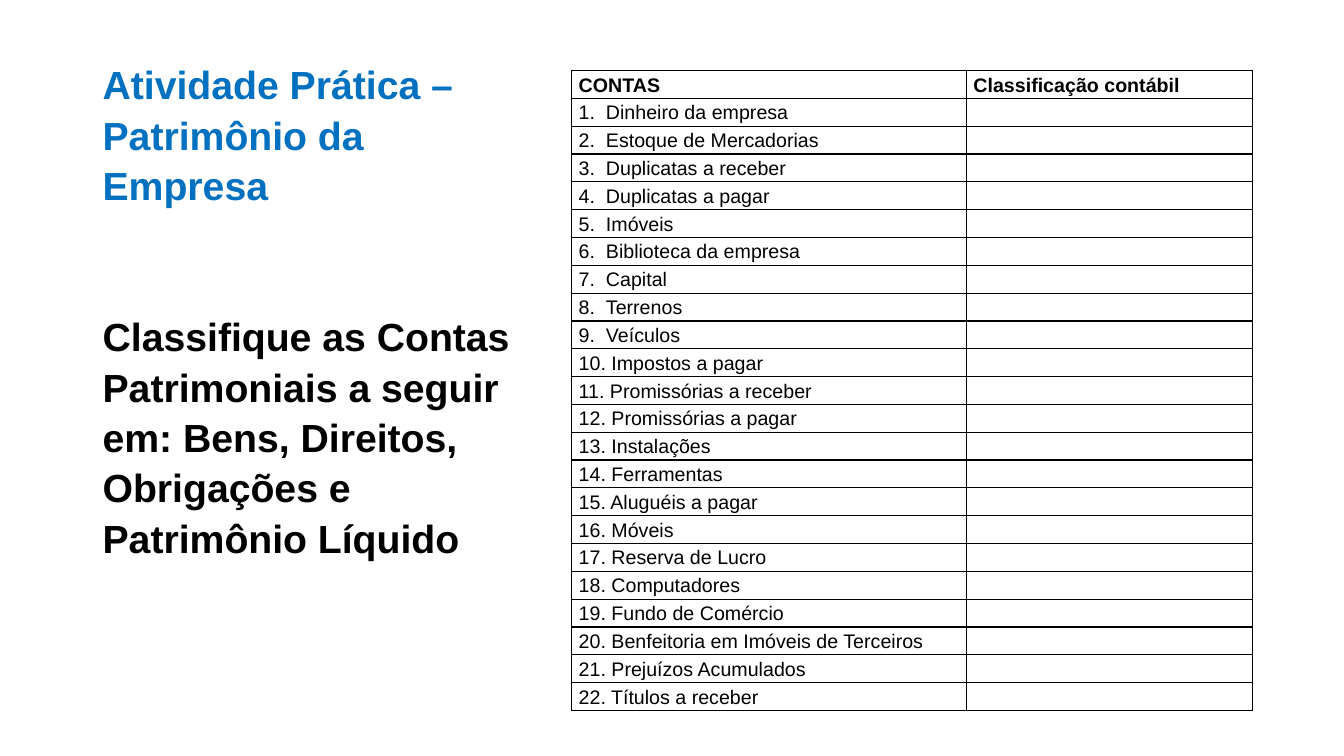
from pptx import Presentation
from pptx.dml.color import RGBColor
from pptx.enum.text import MSO_ANCHOR
from pptx.oxml.ns import qn
from pptx.util import Inches, Pt
from lxml.etree import SubElement

BLUE, BLACK, WHITE = "0070C0", "000000", "FFFFFF"
HEADS = ["CONTAS", "Classificação contábil"]
ITEMS = [
    "Dinheiro da empresa", "Estoque de Mercadorias", "Duplicatas a receber",
    "Duplicatas a pagar", "Imóveis", "Biblioteca da empresa", "Capital",
    "Terrenos", "Veículos", "Impostos a pagar", "Promissórias a receber",
    "Promissórias a pagar", "Instalações", "Ferramentas", "Aluguéis a pagar",
    "Móveis", "Reserva de Lucro", "Computadores", "Fundo de Comércio",
    "Benfeitoria em Imóveis de Terceiros", "Prejuízos Acumulados",
    "Títulos a receber",
]
PROMPTS = [
    ("Atividade Prática – Patrimônio da Empresa", BLUE, 72),
    ("Classifique as Contas Patrimoniais a seguir em: Bens, Direitos, "
     "Obrigações e Patrimônio Líquido", BLACK, 0),
]
CELL = {
    "margin_left": Inches(0.07), "margin_right": Inches(0.07),
    "margin_top": 0, "margin_bottom": 0,
    "vertical_anchor": MSO_ANCHOR.MIDDLE,
}


def color(code):
    return RGBColor.from_string(code)


def apply(target, values):
    for name, value in values.items():
        setattr(target, name, value)


def write(para, text, size, bold, shade):
    para.line_spacing = 1.07
    run = para.add_run()
    run.text = text
    apply(run.font, {"name": "Arial", "size": Pt(size), "bold": bold})
    run.font.color.rgb = color(shade)


def add_tab(para, pos):
    tabs = SubElement(para._p.get_or_add_pPr(), qn("a:tabLst"))
    SubElement(tabs, qn("a:tab"), pos=str(Inches(pos)), algn="l")


def set_empty(para, size):
    SubElement(para._p, qn("a:endParaRPr"), sz=str(size * 100))


def add_frame(cell):
    props = cell._tc.get_or_add_tcPr()
    for index, side in enumerate(("lnL", "lnR", "lnT", "lnB")):
        line = SubElement(props, qn(f"a:{side}"), w=str(Pt(1)))
        props.remove(line)
        props.insert(index, line)
        fill = SubElement(line, qn("a:solidFill"))
        SubElement(fill, qn("a:srgbClr"), val=BLACK)


def add_prompts(slide, left, top, width, height):
    box = slide.shapes.add_textbox(
        Inches(left), Inches(top), Inches(width), Inches(height))
    frame = box.text_frame
    apply(frame, {"word_wrap": True, "vertical_anchor": MSO_ANCHOR.TOP})
    for index, (text, shade, gap) in enumerate(PROMPTS):
        para = frame.add_paragraph() if index else frame.paragraphs[0]
        para.space_after = Pt(gap)
        write(para, text, 28, True, shade)


def add_accounts(slide, left, top, width, height):
    rows = [HEADS]
    for num, item in enumerate(ITEMS, 1):
        gap = "\t" if num < 10 else " "
        rows.append([f"{num}.{gap}{item}", ""])
    table = slide.shapes.add_table(
        len(rows), len(HEADS), Inches(left), Inches(top),
        Inches(width), Inches(height)).table
    apply(table, {"first_row": False, "horz_banding": False})
    for col, share in zip(table.columns, (0.58, 0.42)):
        col.width = Inches(width * share)
    for r, row in enumerate(rows):
        table.rows[r].height = Inches(height / len(rows))
        for c, text in enumerate(row):
            cell = table.cell(r, c)
            apply(cell, CELL)
            cell.fill.solid()
            cell.fill.fore_color.rgb = color(WHITE)
            add_frame(cell)
            para = cell.text_frame.paragraphs[0]
            if text:
                write(para, text, 14, r == 0, BLACK)
            else:
                set_empty(para, 14)
            if "\t" in text:
                add_tab(para, 0.27)


deck = Presentation()
apply(deck, {"slide_width": Inches(13.33), "slide_height": Inches(7.5)})
page = deck.slides.add_slide(deck.slide_layouts[6])
add_prompts(page, 0.92, 0.52, 4.3, 5.43)
add_accounts(page, 5.67, 0.7, 6.75, 6.35)
deck.save("out.pptx")
